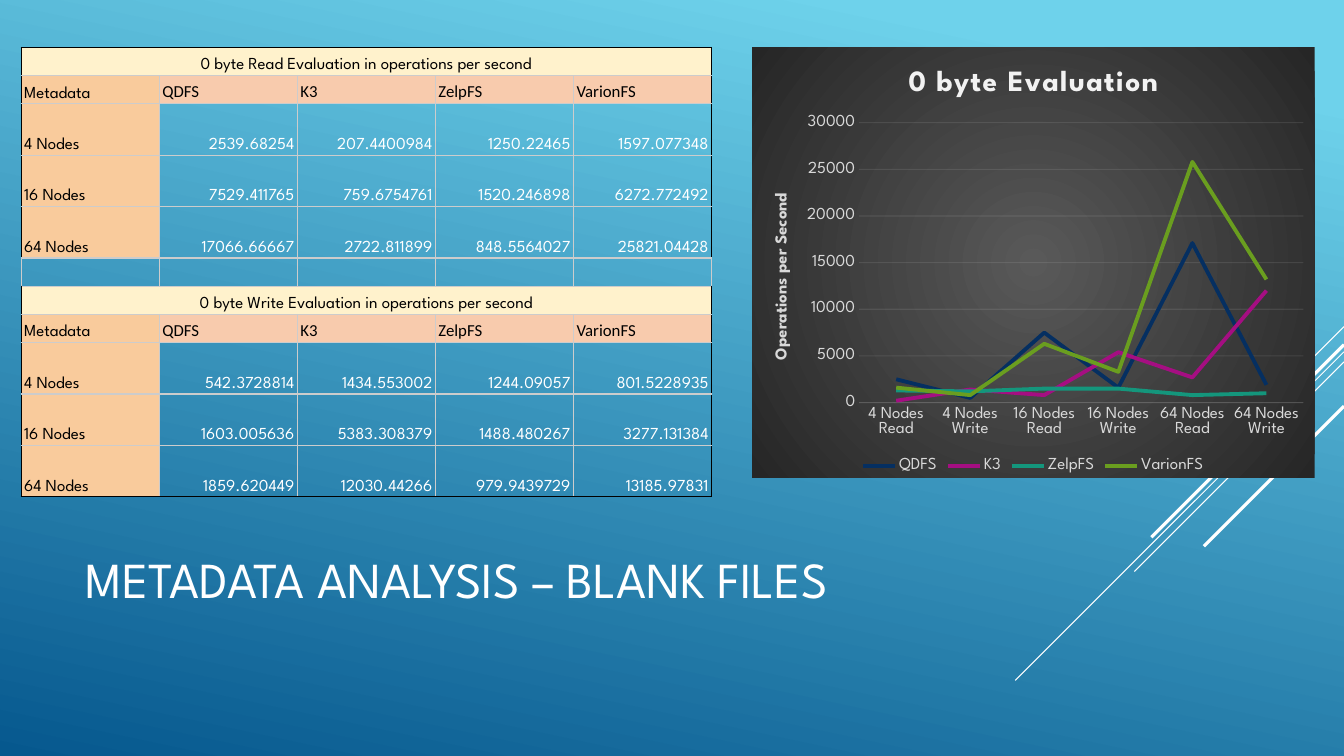
from lxml import etree
from pptx import Presentation
from pptx.chart.data import CategoryChartData
from pptx.dml.color import RGBColor
from pptx.enum.chart import XL_CHART_TYPE, XL_LEGEND_POSITION, XL_TICK_MARK
from pptx.enum.shapes import MSO_CONNECTOR
from pptx.enum.text import MSO_ANCHOR, PP_ALIGN
from pptx.oxml import parse_xml
from pptx.oxml.ns import nsdecls, qn
from pptx.util import Inches, Pt

LINE_CHART = XL_CHART_TYPE.LINE
LEGEND_BOTTOM = XL_LEGEND_POSITION.BOTTOM
NO_TICK = XL_TICK_MARK.NONE
STRAIGHT = MSO_CONNECTOR.STRAIGHT
MIDDLE, BOTTOM = MSO_ANCHOR.MIDDLE, MSO_ANCHOR.BOTTOM
LEFT, CENTER, RIGHT = PP_ALIGN.LEFT, PP_ALIGN.CENTER, PP_ALIGN.RIGHT

FONT = "League Spartan"
HEADER_FONT = "Calibri"
COLORS = {
    "sky": "6ED2EB", "deep": "06588E", "white": "FFFFFF", "black": "000000",
    "caption": "FFF2CC", "label": "F9CB9C", "header": "F8CBAD", "border": "CCCCCC",
    "chart_center": "595959", "chart_edge": "262626",
    "chart_text": "D9D9D9", "chart_title": "F2F2F2", "grid": "F2F2F2",
}
SYSTEMS = ["QDFS", "K3", "ZelpFS", "VarionFS"]
SERIES_COLORS = ["052F61", "A50E82", "14967C", "6A9E1F"]
NODES = ["4 Nodes", "16 Nodes", "64 Nodes"]
RESULTS = {
    "Read": [
        ["2539.68254", "207.4400984", "1250.22465", "1597.077348"],
        ["7529.411765", "759.6754761", "1520.246898", "6272.772492"],
        ["17066.66667", "2722.811899", "848.5564027", "25821.04428"],
    ],
    "Write": [
        ["542.3728814", "1434.553002", "1244.09057", "801.5228935"],
        ["1603.005636", "5383.308379", "1488.480267", "3277.131384"],
        ["1859.620449", "12030.44266", "979.9439729", "13185.97831"],
    ],
}
# Diagonals: height at the right edge, horizontal reach, weight in points
DIAGONALS = [(3.24, 1, 0.75), (3.49, 3.26, 0.75), (3.59, 2.08, 0.75),
             (3.42, 1.91, 2.25), (4.03, 1.39, 2.25)]
SLIDE_WIDTH, SLIDE_HEIGHT = 13.33, 7.5
COLUMN_WIDTH, SHORT_ROW, TALL_ROW = 1.37, 0.28, 0.51


def rgb(name):
    return RGBColor.from_string(COLORS[name])


def style_font(font, size, color, name=FONT, bold=False):
    font.size, font.name, font.bold = Pt(size), name, bold
    font.color.rgb = rgb(color)


def set_background(slide):
    fill = slide.background.fill
    fill.gradient()
    fill.gradient_angle = 258
    for stop, position, color in zip(fill.gradient_stops, (0.1, 1), ("sky", "deep")):
        stop.position = position
        stop.color.rgb = rgb(color)


def add_diagonal(slide, top, reach, weight):
    line = slide.shapes.add_connector(
        STRAIGHT, Inches(SLIDE_WIDTH), Inches(top),
        Inches(SLIDE_WIDTH - reach), Inches(top + reach))
    line.line.color.rgb = rgb("white")
    line.line.width = Pt(weight)
    etree.SubElement(line._element.spPr, qn("a:effectLst"))


def set_title(slide, text):
    title = slide.shapes.title
    title.left, title.top = Inches(0.75), Inches(4.91)
    title.width, title.height = Inches(9.33), Inches(1.65)
    title.text_frame.vertical_anchor = MIDDLE
    title.text_frame.word_wrap = True
    paragraph = title.text_frame.paragraphs[0]
    paragraph.alignment = LEFT
    run = paragraph.add_run()
    run.text = text
    style_font(run.font, 36, "white")


def set_borders(cell, edges):
    """Edges are colour names in the order left, right, top, bottom."""
    properties = cell._tc.get_or_add_tcPr()
    for index, (side, color) in enumerate(zip("LRTB", edges)):
        properties.insert(index, parse_xml(
            f'<a:ln{side} {nsdecls("a")} w="12700"><a:solidFill>'
            f'<a:srgbClr val="{COLORS[color]}"/></a:solidFill></a:ln{side}>'))


def format_cell(cell, text, fill=None, align=LEFT, color="black", font=FONT):
    cell.vertical_anchor = BOTTOM
    cell.margin_left = cell.margin_right = Inches(0.03)
    cell.margin_top = cell.margin_bottom = Inches(0.02)
    if fill:
        cell.fill.solid()
        cell.fill.fore_color.rgb = rgb(fill)
    else:
        cell.fill.background()
    paragraph = cell.text_frame.paragraphs[0]
    paragraph.alignment = align
    if text:
        run = paragraph.add_run()
        run.text = text
        style_font(run.font, 12, color, font)
    else:
        paragraph._p.get_or_add_endParaRPr().set("sz", "1200")


def table_rows():
    """Rows of (kind, texts): a caption, a header and data for each operation."""
    rows = []
    for operation, values in RESULTS.items():
        if rows:
            rows.append(("gap", [""] * 5))
        caption = f"0 byte {operation} Evaluation in operations per second"
        rows.append(("caption", [caption] + [""] * 4))
        rows.append(("header", ["Metadata"] + SYSTEMS))
        rows += [("data", [node] + line) for node, line in zip(NODES, values)]
    return rows


def cell_style(kind, column):
    if kind == "gap":
        return {}
    if kind == "caption":
        return {"fill": "caption", "align": CENTER}
    if column == 0:
        return {"fill": "label"}
    if kind == "header":
        return {"fill": "header", "font": HEADER_FONT}
    return {"align": RIGHT, "color": "white"}


def add_results_table(slide):
    rows = table_rows()
    heights = [TALL_ROW if kind == "data" else SHORT_ROW for kind, _ in rows]
    table = slide.shapes.add_table(
        len(rows), 5, Inches(0.21), Inches(0.47),
        Inches(5 * COLUMN_WIDTH), Inches(sum(heights))).table
    table.first_row = table.horz_banding = False
    for column in table.columns:
        column.width = Inches(COLUMN_WIDTH)
    for r, (kind, texts) in enumerate(rows):
        table.rows[r].height = Inches(heights[r])
        if kind == "caption":
            table.cell(r, 0).merge(table.cell(r, 4))
        for c, text in enumerate(texts):
            cell = table.cell(r, c)
            format_cell(cell, text, **cell_style(kind, c))
            filled = kind != "gap"
            outer = (filled and (c == 0 or kind == "caption"),
                     filled and (c == 4 or kind == "caption"),
                     r == 0, r == len(rows) - 1)
            set_borders(cell, ["black" if edge else "border" for edge in outer])


def faint_line(line):
    line.color.rgb = rgb("grid")
    line.width = Pt(0.75)
    color = line._get_or_add_ln().find(".//" + qn("a:srgbClr"))
    etree.SubElement(color, qn("a:alpha")).set("val", "10000")


def add_chart_heading(owner, text, size, color, spacing=0):
    run = owner.text_frame.paragraphs[0].add_run()
    run.text = text
    style_font(run.font, size, color, bold=True)
    run.font._element.set("spc", str(spacing))


def fill_chart_radially(chart):
    stops = "".join(
        f'<a:gs pos="{position}"><a:srgbClr val="{COLORS[color]}"/></a:gs>'
        for position, color in ((0, "chart_center"), (100000, "chart_edge")))
    chart._chartSpace.find(qn("c:chart")).addnext(parse_xml(
        f'<c:spPr {nsdecls("c", "a")}><a:gradFill><a:gsLst>{stops}</a:gsLst>'
        '<a:path path="circle"><a:fillToRect l="50000" t="50000" r="50000" b="50000"/>'
        '</a:path></a:gradFill><a:ln><a:noFill/></a:ln></c:spPr>'))


def add_evaluation_chart(slide):
    data = CategoryChartData()
    data.categories = [f"{node} {operation}" for node in NODES for operation in RESULTS]
    for s, system in enumerate(SYSTEMS):
        data.add_series(system, [round(float(RESULTS[operation][n][s]), -2)
                                 for n in range(len(NODES)) for operation in RESULTS])
    chart = slide.shapes.add_chart(
        LINE_CHART, Inches(7.46), Inches(0.47), Inches(5.58), Inches(4.27), data).chart
    style_font(chart.font, 10, "white")
    fill_chart_radially(chart)
    add_chart_heading(chart.chart_title, "0 byte Evaluation", 21, "chart_title", 100)

    # Axes and legend
    for axis in (chart.category_axis, chart.value_axis):
        axis.major_tick_mark = axis.minor_tick_mark = NO_TICK
        style_font(axis.tick_labels.font, 12, "chart_text")
    faint_line(chart.category_axis.format.line)
    chart.value_axis.format.line.fill.background()
    faint_line(chart.value_axis.major_gridlines.format.line)
    add_chart_heading(chart.value_axis.axis_title, "Operations per Second", 12, "chart_text")
    chart.has_legend = True
    chart.legend.position = LEGEND_BOTTOM
    chart.legend.include_in_layout = False
    style_font(chart.legend.font, 12, "chart_text")

    # Series
    chart.plots[0].vary_by_categories = False
    for series, color in zip(chart.plots[0].series, SERIES_COLORS):
        series.smooth = False
        series.format.line.color.rgb = RGBColor.from_string(color)
        series.format.line.width = Pt(2.75)


def main():
    presentation = Presentation()
    presentation.slide_width = Inches(SLIDE_WIDTH)
    presentation.slide_height = Inches(SLIDE_HEIGHT)
    slide = presentation.slides.add_slide(presentation.slide_layouts[5])
    set_background(slide)
    for diagonal in DIAGONALS:
        add_diagonal(slide, *diagonal)
    set_title(slide, "METADATA ANALYSIS – BLANK FILES")
    add_results_table(slide)
    add_evaluation_chart(slide)
    presentation.save("out.pptx")


if __name__ == "__main__":
    main()
